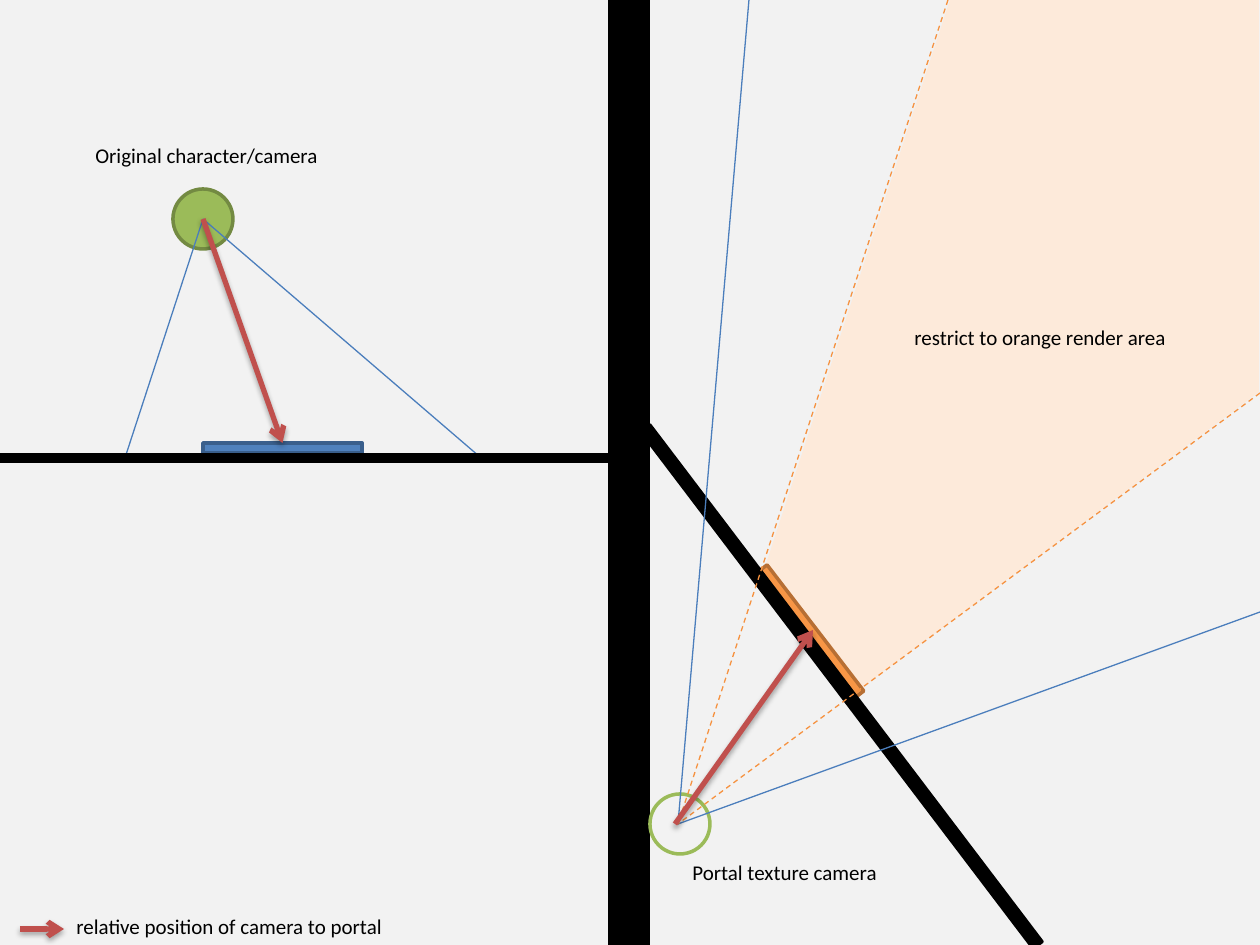
"""Build a slide showing how a portal camera restricts its render area."""
from lxml.etree import SubElement
from pptx import Presentation
from pptx.dml.color import RGBColor
from pptx.enum.dml import MSO_LINE
from pptx.enum.shapes import MSO_CONNECTOR, MSO_SHAPE
from pptx.oxml.ns import qn
from pptx.util import Pt

PX = 914400 / 126
SLIDE = (1260, 945)
THEME = {
    "font": "Calibri", "text_size": 12, "outline": 2, "ray": 0.75, "arrow": 3,
    "background": "F2F2F2", "black": "000000", "area": "FDEADA",
    "blue": "4F81BD", "blue_edge": "3A5F8C", "blue_ray": "4B7EBC",
    "orange": "F79646", "orange_edge": "B76F34", "orange_ray": "F69240",
    "green": "9BBB59", "green_edge": "738A42", "red": "C0504D",
}
RECT, OVAL = MSO_SHAPE.RECTANGLE, MSO_SHAPE.OVAL
CAMERA, PORTAL_CAMERA = (203, 219), (678, 824)

RENDER_AREA = [(766, 564), (950, 0), (1259, 0), (1259, 392), (867, 684), (859, 693)]
PORTALS_AND_CAMERA = [
    ("entry portal", RECT, (203, 443, 159, 10), 0, "blue", "blue_edge"),
    ("exit portal", RECT, (732, 626, 159, 10), 52.5, "orange", "orange_edge"),
    ("camera", OVAL, (173, 189, 60, 60), 0, "green", "green_edge"),
]
CAMERA_RAYS = [
    (CAMERA, (124, 461), "blue_ray", False),
    (CAMERA, (480, 457), "blue_ray", False),
]
WALLS_AND_PORTAL_CAMERA = [
    ("entry wall", RECT, (0, 455, 643, 6), 0, "black", "black"),
    ("divider", RECT, (610, 0, 38, 945), 0, "black", "black"),
    ("exit wall", RECT, (836, 362, 11, 649), 322.8, "black", "black"),
    ("portal camera", OVAL, (650, 794, 60, 60), 0, None, "green"),
]
PORTAL_RAYS = [
    ((749, 0), PORTAL_CAMERA, "blue_ray", False),
    (PORTAL_CAMERA, (1260, 612), "blue_ray", False),
    ((948, 0), PORTAL_CAMERA, "orange_ray", True),
    ((1260, 393), PORTAL_CAMERA, "orange_ray", True),
]
ARROWS = [
    ((282, 443), CAMERA, "headEnd", "entry portal"),
    ((813, 630), (675, 824), "headEnd", None),
    ((20, 929), (64, 929), "tailEnd", None),
]
LABELS = [
    ("relative position of camera to portal", (64, 907, 336, 38)),
    ("Original character/camera", (83, 136, 249, 38)),
    ("Portal texture camera", (680, 853, 212, 38)),
    ("restrict to orange render area", (902, 318, 280, 38)),
]


def emu(values):
    return [round(v * PX) for v in values]


def color(name):
    return RGBColor.from_string(THEME[name])


def add_area(s, points):
    builder = s.shapes.build_freeform(*points[0], scale=PX)
    builder.add_line_segments(points[1:], close=True)
    sp = builder.convert_to_shape()
    sp.shadow.inherit = False
    sp.fill.solid()
    sp.fill.fore_color.rgb = color("area")
    sp.line.fill.background()


def add_shapes(s, rows):
    shapes = {}
    for name, kind, box, rotation, fill, edge in rows:
        sp = s.shapes.add_shape(kind, *emu(box))
        sp.rotation, sp.shadow.inherit = rotation, False
        if fill:
            sp.fill.solid()
            sp.fill.fore_color.rgb = color(fill)
        else:
            sp.fill.background()
        sp.line.color.rgb = color(edge)
        sp.line.width = Pt(THEME["outline"])
        shapes[name] = sp
    return shapes


def add_line(s, start, end, stroke, width):
    line = s.shapes.add_connector(MSO_CONNECTOR.STRAIGHT, *emu(start + end))
    line.line.color.rgb = color(stroke)
    line.line.width = Pt(THEME[width])
    effects = SubElement(line._element.spPr, qn("a:effectLst"))
    return line, effects


def add_rays(s, rows):
    for start, end, stroke, dashed in rows:
        line, _ = add_line(s, start, end, stroke, "ray")
        if dashed:
            line.line.dash_style = MSO_LINE.DASH


def add_arrows(s, rows, shapes):
    for start, end, tip, portal in rows:
        line, effects = add_line(s, start, end, "red", "arrow")
        SubElement(line.line._get_or_add_ln(), qn(f"a:{tip}"), type="arrow")
        shadow = SubElement(effects, qn("a:outerShdw"), blurRad="40000", dist="23000",
                            dir="5400000", rotWithShape="0")
        shade = SubElement(shadow, qn("a:srgbClr"), val=THEME["black"])
        SubElement(shade, qn("a:alpha"), val="35000")
        if portal:
            line.begin_connect(shapes[portal], 0)


def add_labels(s, rows):
    for text, box in rows:
        tf = s.shapes.add_textbox(*emu(box)).text_frame
        tf.word_wrap = False
        r = tf.paragraphs[0].add_run()
        r.text = text
        r.font.name, r.font.size = THEME["font"], Pt(THEME["text_size"])
        r.font.color.rgb = color("black")


def main():
    prs = Presentation()
    prs.slide_width, prs.slide_height = emu(SLIDE)
    s = prs.slides.add_slide(prs.slide_layouts[6])
    s.background.fill.solid()
    s.background.fill.fore_color.rgb = color("background")
    add_area(s, RENDER_AREA)
    shapes = add_shapes(s, PORTALS_AND_CAMERA)
    add_rays(s, CAMERA_RAYS)
    add_shapes(s, WALLS_AND_PORTAL_CAMERA)
    add_rays(s, PORTAL_RAYS)
    add_arrows(s, ARROWS, shapes)
    add_labels(s, LABELS)
    prs.save("out.pptx")


if __name__ == "__main__":
    main()
